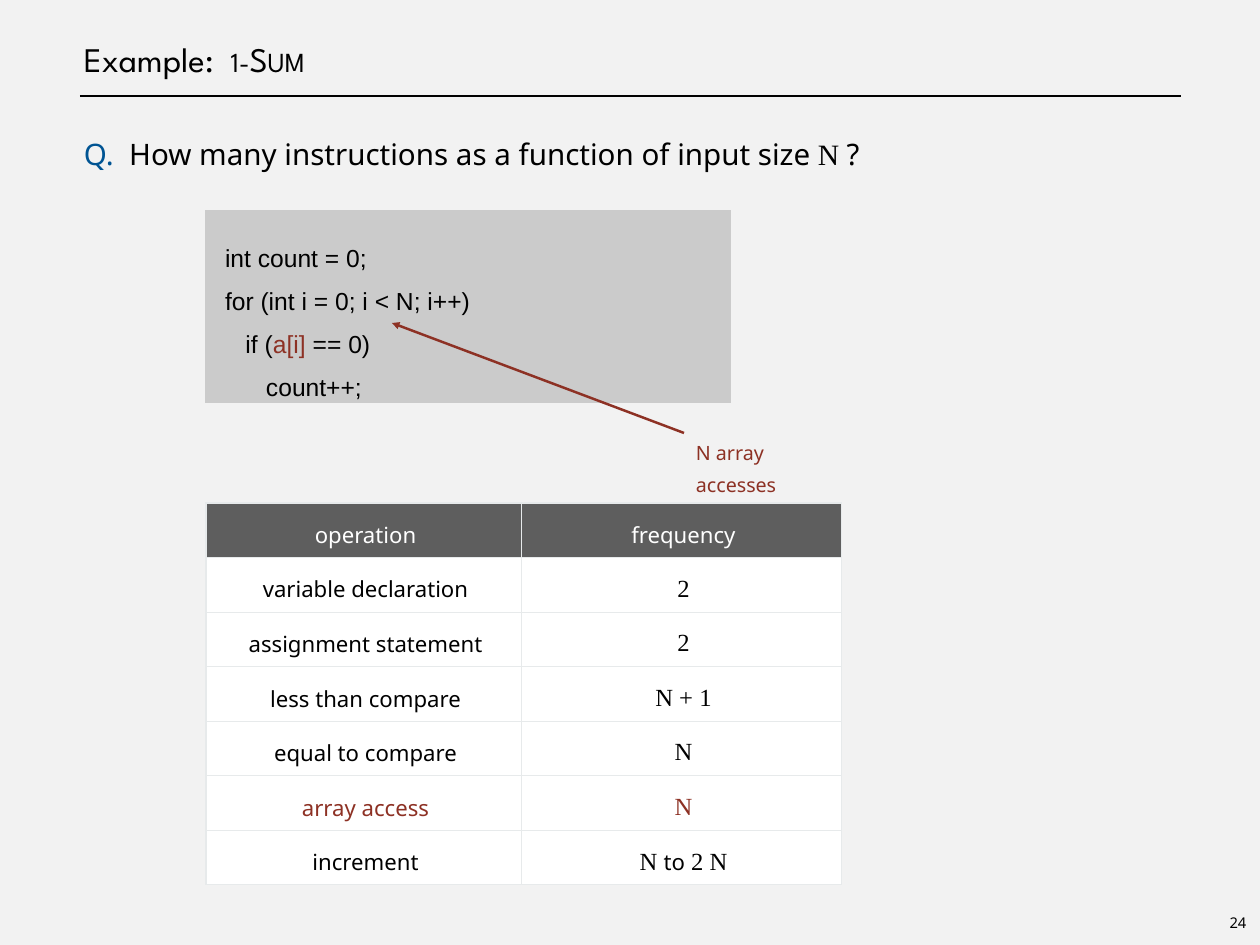
import pptx
import pptx.dml.color
import pptx.enum.shapes
import pptx.enum.text
import pptx.oxml.ns
import pptx.util
from lxml import etree

RGB = pptx.dml.color.RGBColor
BACKGROUND = RGB(0xF2, 0xF2, 0xF2)
BLACK = RGB(0x00, 0x00, 0x00)
WHITE = RGB(0xFF, 0xFF, 0xFF)
BLUE = RGB(0x00, 0x54, 0x93)
RED = RGB(0x8D, 0x31, 0x24)
CODE_GRAY = RGB(0xCB, 0xCB, 0xCB)
HEADER_GRAY = RGB(0x5E, 0x5E, 0x5E)
BORDER = RGB(0xE7, 0xEA, 0xEB)

SANS = "Noto Sans"
SERIF = "Times New Roman"
EMU_PER_PX = 10320

ANCHOR = pptx.enum.text.MSO_ANCHOR
CENTER = pptx.enum.text.PP_ALIGN.CENTER

CODE = [
    [("int count = 0;", BLACK)],
    [("for (int i = 0; i < N; i++)", BLACK)],
    [("   if (", BLACK), ("a[i]", RED), (" == 0)", BLACK)],
    [("      count++;", BLACK)],
]
FREQUENCIES = [
    ("variable declaration", ["2"]),
    ("assignment statement", ["2"]),
    ("less than compare", ["N + 1"]),
    ("equal to compare", ["N"]),
    ("array access", ["N"]),
    ("increment", ["N ", "to", " 2 N"]),
]


def px(n):
    return pptx.util.Emu(n * EMU_PER_PX)


def add_run(p, text, size=18, font=SANS, color=BLACK, small_caps=False):
    r = p.add_run()
    r.text = text
    r.font.size = pptx.util.Pt(size)
    r.font.name = font
    r.font.color.rgb = color
    if small_caps:
        r._r.get_or_add_rPr().set("cap", "small")


def set_insets(target, left, other):
    """Set the margins of a text frame or table cell in px."""
    target.margin_left = px(left)
    target.margin_top = target.margin_right = target.margin_bottom = px(other)


def add_text_box(s, x, y, w, h, left=5, inset=0, anchor=ANCHOR.TOP, wrap=True):
    tf = s.shapes.add_textbox(px(x), px(y), px(w), px(h)).text_frame
    tf.word_wrap = wrap
    tf.vertical_anchor = anchor
    set_insets(tf, left, inset)
    return tf


def add_line(s, x1, y1, x2, y2, color, width, arrow=False):
    """Draw a straight line, with an optional arrowhead at its start."""
    line = s.shapes.add_connector(
        pptx.enum.shapes.MSO_CONNECTOR.STRAIGHT, px(x1), px(y1), px(x2), px(y2))
    line.line.color.rgb = color
    line.line.width = pptx.util.Pt(width)
    if arrow:
        head = etree.SubElement(line.line._get_or_add_ln(), pptx.oxml.ns.qn("a:headEnd"))
        head.set("type", "triangle")
    etree.SubElement(line._element.spPr, pptx.oxml.ns.qn("a:effectLst"))


def add_code(s, x, y, w, h):
    sp = s.shapes.add_shape(
        pptx.enum.shapes.MSO_SHAPE.RECTANGLE, px(x), px(y), px(w), px(h))
    sp.shadow.inherit = False
    sp.fill.solid()
    sp.fill.fore_color.rgb = CODE_GRAY
    sp.line.fill.background()
    tf = sp.text_frame
    tf.word_wrap = True
    tf.vertical_anchor = ANCHOR.TOP
    set_insets(tf, 20, 20)
    for i, runs in enumerate(CODE):
        p = tf.add_paragraph() if i else tf.paragraphs[0]
        p.alignment = pptx.enum.text.PP_ALIGN.LEFT
        p.line_spacing = 1.45
        for text, color in runs:
            add_run(p, text, size=20, font="Arial", color=color)


def set_borders(cell):
    tcPr = cell._tc.get_or_add_tcPr()
    for i, side in enumerate(("lnL", "lnR", "lnT", "lnB")):
        ln = etree.Element(pptx.oxml.ns.qn(f"a:{side}"), w=str(pptx.util.Pt(1)))
        fill = etree.SubElement(ln, pptx.oxml.ns.qn("a:solidFill"))
        etree.SubElement(fill, pptx.oxml.ns.qn("a:srgbClr"), val=str(BORDER))
        tcPr.insert(i, ln)


def format_cell(cell, fill):
    """Style a cell and return its paragraph."""
    cell.fill.solid()
    cell.fill.fore_color.rgb = fill
    cell.vertical_anchor = ANCHOR.MIDDLE
    set_insets(cell, 8, 5)
    set_borders(cell)
    p = cell.text_frame.paragraphs[0]
    p.alignment = CENTER
    p.line_spacing = 1.3
    return p


def add_frequency_table(s, x, y, widths, h):
    n_rows = len(FREQUENCIES) + 1
    table = s.shapes.add_table(
        n_rows, len(widths), px(x), px(y), px(sum(widths)), px(h)).table
    for column, width in zip(table.columns, widths):
        column.width = px(width)
    for row in table.rows:
        row.height = px(h) // n_rows
    for c, heading in enumerate(("operation", "frequency")):
        add_run(format_cell(table.cell(0, c), HEADER_GRAY), heading, color=WHITE)
    for i, (operation, parts) in enumerate(FREQUENCIES, start=1):
        color = RED if operation == "array access" else BLACK
        add_run(format_cell(table.cell(i, 0), WHITE), operation, color=color)
        p = format_cell(table.cell(i, 1), WHITE)
        for part in parts:
            if part == "to":
                add_run(p, part, color=color)
            else:
                add_run(p, part, size=20, font=SERIF, color=color)


def add_title(s):
    p = add_text_box(s, 79, 0, 1102, 79, anchor=ANCHOR.BOTTOM).paragraphs[0]
    add_run(p, "Example:  ", size=28, font="League Spartan")
    add_run(p, "1-Sum", size=28, font="League Spartan", small_caps=True)
    add_line(s, 80, 96, 1181, 96, BLACK, 1)


def add_question(s):
    p = add_text_box(s, 79, 123, 1102, 60).paragraphs[0]
    p.line_spacing = pptx.util.Pt(39)
    add_run(p, "Q. ", size=24, color=BLUE)
    add_run(p, " How many instructions as a function of input size ", size=24)
    add_run(p, "N ", size=24, font=SERIF)
    add_run(p, "?", size=24)


def add_access_note(s):
    add_line(s, 392, 323, 684, 433, RED, 2, arrow=True)
    p = add_text_box(s, 686, 428, 150, 80, left=10, inset=5).paragraphs[0]
    p.line_spacing = 1.35
    add_run(p, "N array accesses", size=16, color=RED)


def add_page_number(s):
    tf = add_text_box(s, 1223, 909, 30, 27, inset=5, anchor=ANCHOR.MIDDLE, wrap=False)
    p = tf.paragraphs[0]
    p.alignment = CENTER
    add_run(p, "24", size=12)


def main():
    prs = pptx.Presentation()
    prs.slide_width, prs.slide_height = px(1260), px(945)
    s = prs.slides.add_slide(prs.slide_layouts[6])
    s.background.fill.solid()
    s.background.fill.fore_color.rgb = BACKGROUND
    add_title(s)
    add_question(s)
    add_code(s, 205, 210, 526, 193)
    add_frequency_table(s, 206, 503, (316, 320), 382)
    add_access_note(s)
    add_page_number(s)
    prs.save("out.pptx")


if __name__ == "__main__":
    main()
